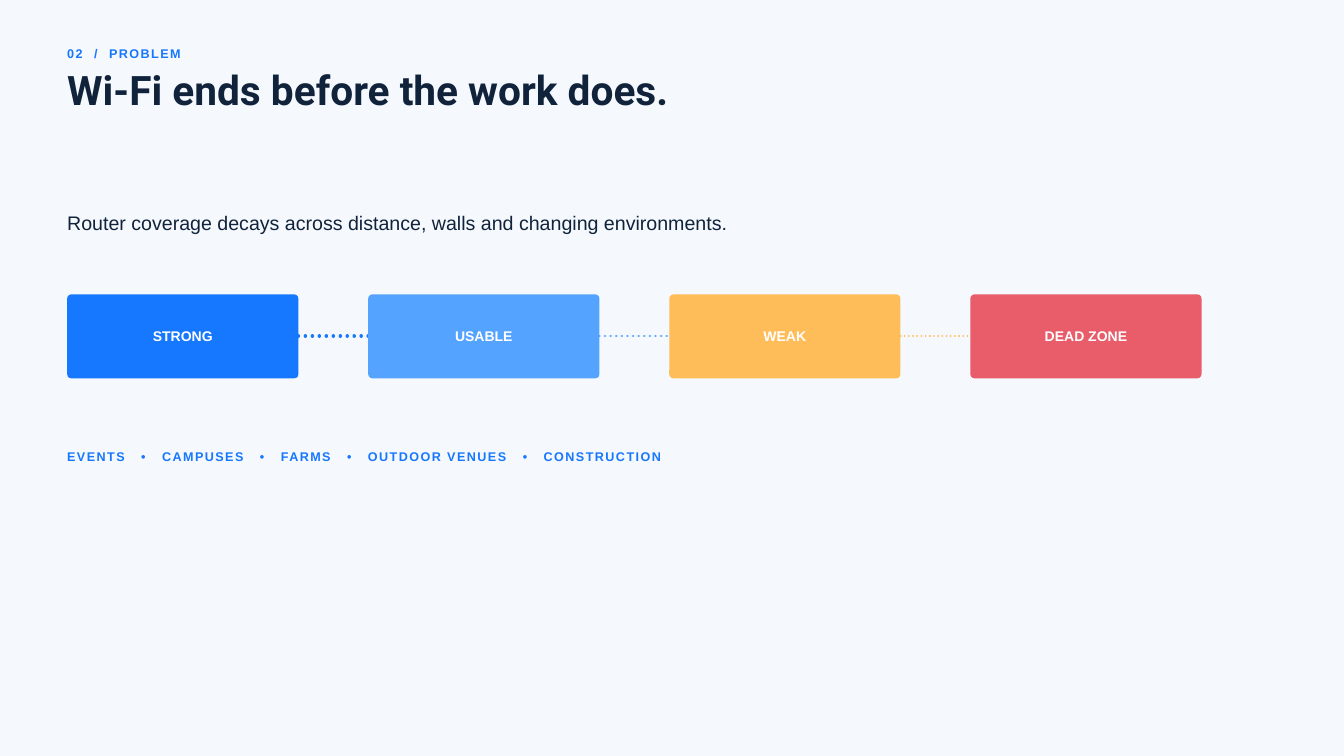
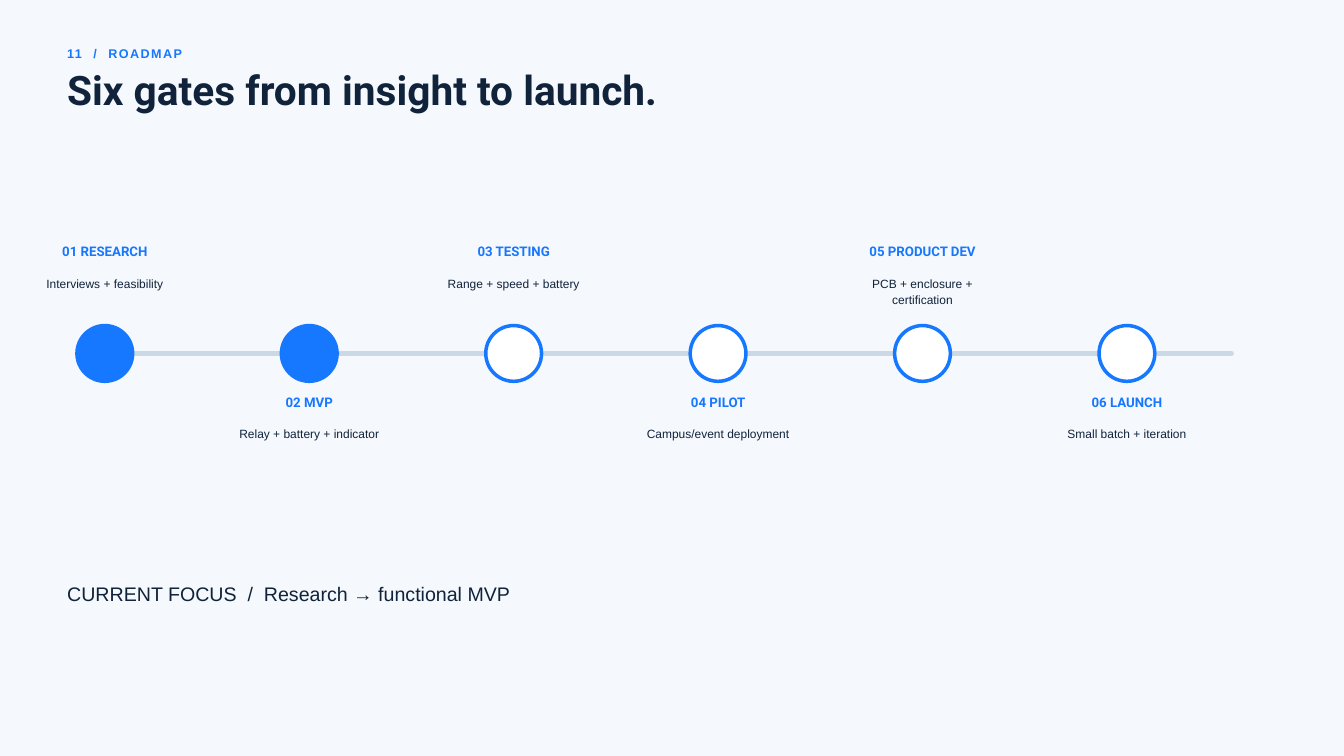
from dataclasses import dataclass

from lxml import etree
from pptx import Presentation
from pptx.dml.color import RGBColor
from pptx.enum.dml import MSO_LINE
from pptx.enum.shapes import MSO_CONNECTOR, MSO_SHAPE
from pptx.enum.text import MSO_ANCHOR, MSO_AUTO_SIZE, PP_ALIGN
from pptx.oxml.ns import qn
from pptx.util import Inches, Pt

LEFT, CENTER = PP_ALIGN.LEFT, PP_ALIGN.CENTER
TOP, MIDDLE = MSO_ANCHOR.TOP, MSO_ANCHOR.MIDDLE
GROW = MSO_AUTO_SIZE.SHAPE_TO_FIT_TEXT
ROUND, OVAL = MSO_SHAPE.ROUNDED_RECTANGLE, MSO_SHAPE.OVAL
STRAIGHT = MSO_CONNECTOR.STRAIGHT
DOTS = MSO_LINE.ROUND_DOT


@dataclass(frozen=True)
class Theme:
    paper: RGBColor = RGBColor.from_string("F5F8FC")
    ink: RGBColor = RGBColor.from_string("10233B")
    blue: RGBColor = RGBColor.from_string("1677FF")
    sky: RGBColor = RGBColor.from_string("54A3FF")
    amber: RGBColor = RGBColor.from_string("FFBD59")
    red: RGBColor = RGBColor.from_string("E95C6A")
    track: RGBColor = RGBColor.from_string("CBD8E6")
    white: RGBColor = RGBColor.from_string("FFFFFF")
    body: str = "Arial"
    head: str = "Roboto"
    title: float = 43.5
    lead: float = 21
    label: float = 15
    gate: float = 14.2
    tag: float = 13.5
    note: float = 12.8


theme = Theme()


def write(slide, words, spot=None, box=None, size=theme.lead, lead=28.4,
          font=theme.body, color=theme.ink, bold=False, align=LEFT, space=0, gap=0):
    if box is None:
        box = slide.shapes.add_textbox(*map(Inches, spot))
        box.text_frame.auto_size = GROW
        pads, anchor = (0, 0, 0, 0), TOP
    else:
        pads, anchor = (0.06, 0.06, 0.06, 0.1), MIDDLE
    frame = box.text_frame
    frame.word_wrap = True
    frame.vertical_anchor = anchor
    frame.margin_left, frame.margin_top, frame.margin_right, frame.margin_bottom = map(Inches, pads)
    para = frame.paragraphs[0]
    para.alignment = align
    para.line_spacing = Pt(lead)
    parts = [(words[0], space)]
    for word in words[1:]:
        parts += [(" ", gap), (word, space)]
    for part, wide in parts:
        run = para.add_run()
        run.text = part
        run.font.size = Pt(size)
        run.font.name = font
        run.font.bold = bold
        run.font.color.rgb = color
        if wide:
            run.font._element.set("spc", str(round(wide * 100)))


def join(slide, start, end, y, color, width, dash=None):
    link = slide.shapes.add_connector(STRAIGHT, Inches(start), Inches(y), Inches(end), Inches(y))
    link.line.color.rgb = color
    link.line.width = Pt(width)
    if dash:
        link.line.dash_style = dash
    props = link._element.spPr
    props.find(qn("a:ln")).set("cap", "rnd")
    etree.SubElement(props, qn("a:effectLst"))


deck = Presentation()
deck.slide_width, deck.slide_height = Inches(20), Inches(11.25)

tag = {"size": theme.tag, "lead": 18.9, "color": theme.blue, "bold": True, "space": 1.6}
heads = [
    (["02", "/", "PROBLEM"], "Wi-Fi ends before the work does."),
    (["11", "/", "ROADMAP"], "Six gates from insight to launch."),
]
pages = []
for topic, title in heads:
    page = deck.slides.add_slide(deck.slide_layouts[6])
    page.background.fill.solid()
    page.background.fill.fore_color.rgb = theme.paper
    write(page, topic, (1, 0.65, 6.25, 0.24), gap=7, **tag)
    write(page, [title], (1, 1.04, 15.62, 0.76), size=theme.title, lead=47,
          font=theme.head, bold=True)
    pages.append(page)
signal, roadmap = pages

zones = [
    ("STRONG", theme.blue, 3.75),
    ("USABLE", theme.sky, 3),
    ("WEAK", theme.amber, 2.25),
    ("DEAD ZONE", theme.red, None),
]
wide, high, step = 3.44, 1.25, 4.48
for index, (name, color, weight) in enumerate(zones):
    left = 1 + index * step
    card = signal.shapes.add_shape(ROUND, Inches(left), Inches(4.38), Inches(wide), Inches(high))
    card.adjustments[0] = 0.05
    card.shadow.inherit = False
    card.fill.solid()
    card.fill.fore_color.rgb = color
    card.line.fill.background()
    write(signal, [name], box=card, size=theme.label, lead=21, color=theme.white,
          bold=True, align=CENTER)
    if weight:
        join(signal, left + wide, left + step, 5, color, weight, DOTS)

write(signal, ["Router coverage decays across distance, walls and changing environments."],
      (1, 3.09, 14.06, 0.37))
places = ["EVENTS", "•", "CAMPUSES", "•", "FARMS", "•", "OUTDOOR VENUES", "•", "CONSTRUCTION"]
write(signal, places, (1, 6.65, 18, 0.24), gap=12.3, **tag)

gates = [
    ("01 RESEARCH", "Interviews + feasibility"),
    ("02 MVP", "Relay + battery + indicator"),
    ("03 TESTING", "Range + speed + battery"),
    ("04 PILOT", "Campus/event deployment"),
    ("05 PRODUCT DEV", "PCB + enclosure + certification"),
    ("06 LAUNCH", "Small batch + iteration"),
]
first, last, axis, dot = 1.56, 16.77, 5.26, 0.83
pitch = (last - first) / (len(gates) - 1)
done = 2
join(roadmap, first, 18.33, axis, theme.track, 4.5)
for index, (name, note) in enumerate(gates):
    mid = first + index * pitch
    node = roadmap.shapes.add_shape(OVAL, Inches(mid - dot / 2), Inches(axis - dot / 2),
                                    Inches(dot), Inches(dot))
    node.shadow.inherit = False
    node.fill.solid()
    node.fill.fore_color.rgb = theme.blue if index < done else theme.white
    node.line.color.rgb = theme.blue
    node.line.width = Pt(3.75)
    top = 5.82 if index % 2 else 3.58
    write(roadmap, [name], (mid - 0.94, top, 1.88, 0.29), size=theme.gate, lead=19.9,
          font=theme.head, color=theme.blue, bold=True, align=CENTER)
    write(roadmap, [note], (mid - 1.2, top + 0.5, 2.4, 0.24), size=theme.note, lead=17.8,
          align=CENTER)

write(roadmap, ["CURRENT FOCUS", "/", "Research → functional MVP"], (1, 8.61, 12.5, 0.37), gap=5.84)

deck.save("out.pptx")
